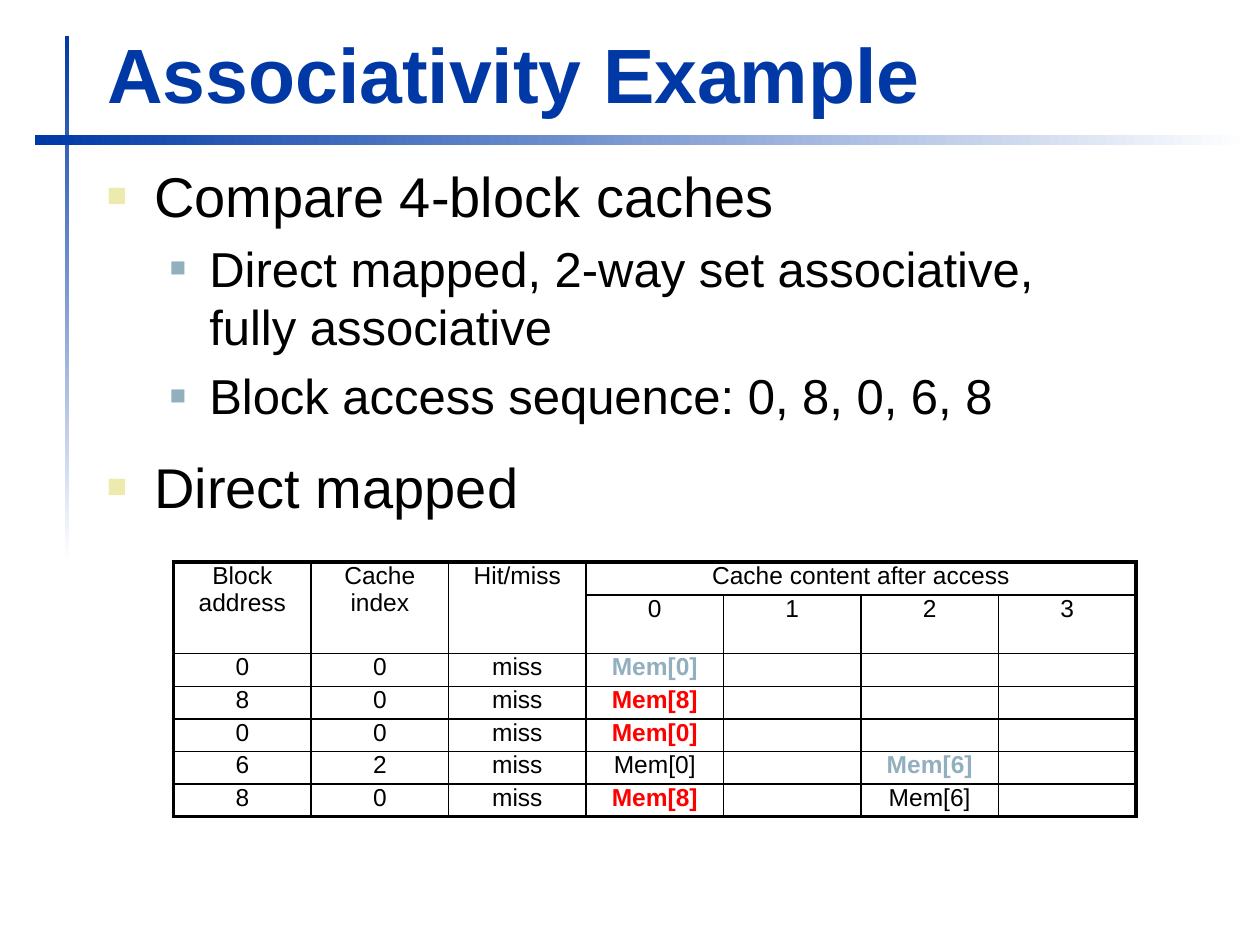
import pptx
import pptx.util
import pptx.dml.color
import pptx.enum.shapes
import pptx.enum.text
import pptx.oxml
import pptx.oxml.ns
from lxml import etree

Pt = pptx.util.Pt
FONT = "Arial"
COLORS = {"blue": "0039A6", "white": "FFFFFF", "black": "000000",
          "yellow": "ECEAAC", "slate": "91AFBF", "red": "FF0000"}

# level: size, left margin, hanging indent, bullet colour, bullet size in %
LEVELS = [(32, 27, 27, "yellow", 60), (28, 58.5, 22.5, "slate", 55)]

# text, level, space before in %
POINTS = [
    ("Compare 4-block caches", 0, 20),
    ("Direct mapped, 2-way set associative,\nfully associative", 1, 20),
    ("Block access sequence: 0, 8, 0, 6, 8", 1, 20),
    ("Direct mapped", 0, 50),
]

HEADERS = [
    ["Block address", "Cache index", "Hit/miss", "Cache content after access", "", "", ""],
    ["", "", "", "0", "1", "2", "3"],
]
ACCESSES = [
    ["0", "0", "miss", "Mem[0]", "", "", ""],
    ["8", "0", "miss", "Mem[8]", "", "", ""],
    ["0", "0", "miss", "Mem[0]", "", "", ""],
    ["6", "2", "miss", "Mem[0]", "", "Mem[6]", ""],
    ["8", "0", "miss", "Mem[8]", "", "Mem[6]", ""],
]
# (row, column) of the block loaded by each access
LOADED = {(2, 3): "slate", (3, 3): "red", (4, 3): "red", (5, 5): "slate", (6, 3): "red"}


def rgb(name):
    return pptx.dml.color.RGBColor.from_string(COLORS[name])


def add_xml(parent, xml):
    ns = pptx.oxml.ns.nsdecls("a")
    head, tail = xml.split(" ", 1)
    parent.append(pptx.oxml.parse_xml(f"{head} {ns} {tail}"))


def add_run(p, text, size, color="black", bold=False):
    r = p.add_run()
    r.text = text
    r.font.name = FONT
    r.font.size = Pt(size)
    r.font.bold = bold
    r.font.color.rgb = rgb(color)


def space_before(p, percent):
    """Set paragraph spacing relative to the line, which has no public method."""
    add_xml(p._p.get_or_add_pPr(),
            f'<a:spcBef ><a:spcPct val="{percent * 1000}"/></a:spcBef>')


def add_title(s, text, left, top, width, height):
    sp = s.shapes.title
    sp.left, sp.top, sp.width, sp.height = Pt(left), Pt(top), Pt(width), Pt(height)
    tf = sp.text_frame
    tf.word_wrap = True
    tf.vertical_anchor = pptx.enum.text.MSO_ANCHOR.BOTTOM
    tf.auto_size = pptx.enum.text.MSO_AUTO_SIZE.NONE
    p = tf.paragraphs[0]
    p.alignment = pptx.enum.text.PP_ALIGN.LEFT
    add_run(p, text, 44, "blue", True)


def add_fading_bar(s, left, top, width, height, angle):
    sp = s.shapes.add_shape(pptx.enum.shapes.MSO_SHAPE.RECTANGLE,
                            Pt(left), Pt(top), Pt(width), Pt(height))
    sp.shadow.inherit = False
    sp.line.fill.background()
    sp.fill.gradient()
    sp.fill.gradient_angle = angle
    for stop, position, color in zip(sp.fill.gradient_stops, (0, 1), ("blue", "white")):
        stop.position = position
        stop.color.rgb = rgb(color)


def add_bullets(s, points, left, top, width, height):
    tf = s.shapes.add_textbox(Pt(left), Pt(top), Pt(width), Pt(height)).text_frame
    tf.word_wrap = True
    for i, (text, level, before) in enumerate(points):
        size, margin, hang, color, percent = LEVELS[level]
        p = tf.paragraphs[0] if i == 0 else tf.add_paragraph()
        p.level = level
        space_before(p, before)
        pPr = p._p.get_or_add_pPr()
        pPr.set("marL", str(Pt(margin)))
        pPr.set("indent", str(-Pt(hang)))
        add_xml(pPr, f'<a:buClr ><a:srgbClr val="{COLORS[color]}"/></a:buClr>')
        add_xml(pPr, f'<a:buSzPct val="{percent * 1000}"/>')
        add_xml(pPr, f'<a:buFont typeface="{FONT}"/>')
        add_xml(pPr, '<a:buChar char="■"/>')
        for n, line in enumerate(text.split("\n")):
            if n:
                p.add_line_break()
            add_run(p, line, size)


def set_borders(cell, outer):
    """Draw heavy lines on the outer sides and thin lines on the others."""
    tcPr = cell._tc.get_or_add_tcPr()
    for side in "LRTB":
        width = Pt(2.25 if side in outer else 1)
        add_xml(tcPr, f'<a:ln{side} w="{width}"><a:solidFill><a:srgbClr '
                      f'val="{COLORS["black"]}"/></a:solidFill></a:ln{side}>')


def fill_cell(cell, text, color, bold, size=14):
    cell.margin_left = cell.margin_right = Pt(7.2)
    cell.margin_top = cell.margin_bottom = 0
    p = cell.text_frame.paragraphs[0]
    p.alignment = pptx.enum.text.PP_ALIGN.CENTER
    if text:
        space_before(p, 20)
        add_run(p, text, size, color, bold)
    else:
        add_xml(p._p, f'<a:endParaRPr sz="{size * 100}"/>')


def add_cache_table(s, rows, loaded, left, top, width, height):
    n_rows, n_cols = len(rows), len(rows[0])
    table = s.shapes.add_table(n_rows, n_cols, Pt(left), Pt(top), Pt(width), Pt(height)).table
    table.first_row = table.horz_banding = False
    for c in range(3):
        table.cell(0, c).merge(table.cell(1, c))
    table.cell(0, 3).merge(table.cell(0, n_cols - 1))
    for i, row in enumerate(rows):
        for j, text in enumerate(row):
            cell = table.cell(i, j)
            right = j + (cell.span_width if cell.is_merge_origin else 1)
            edges = {"L": j == 0, "R": right == n_cols, "T": i == 0, "B": i == n_rows - 1}
            fill_cell(cell, text, loaded.get((i, j), "black"), (i, j) in loaded)
            set_borders(cell, [side for side, is_outer in edges.items() if is_outer])
            cell.fill.background()


def main():
    prs = pptx.Presentation()
    prs.slide_width, prs.slide_height = Pt(720), Pt(540)
    s = prs.slides.add_slide(prs.slide_layouts[5])
    add_fading_bar(s, 37, 20.5, 2.5, 300, 270)
    add_fading_bar(s, 19.75, 77, 694, 6, 0)
    add_title(s, "Associativity Example", 54, 11.5, 650, 60)
    add_bullets(s, POINTS, 54, 88.5, 651.5, 221)
    add_cache_table(s, HEADERS + ACCESSES, LOADED, 99.25, 321.25, 550, 130.5)
    prs.save("out.pptx")


if __name__ == "__main__":
    main()
